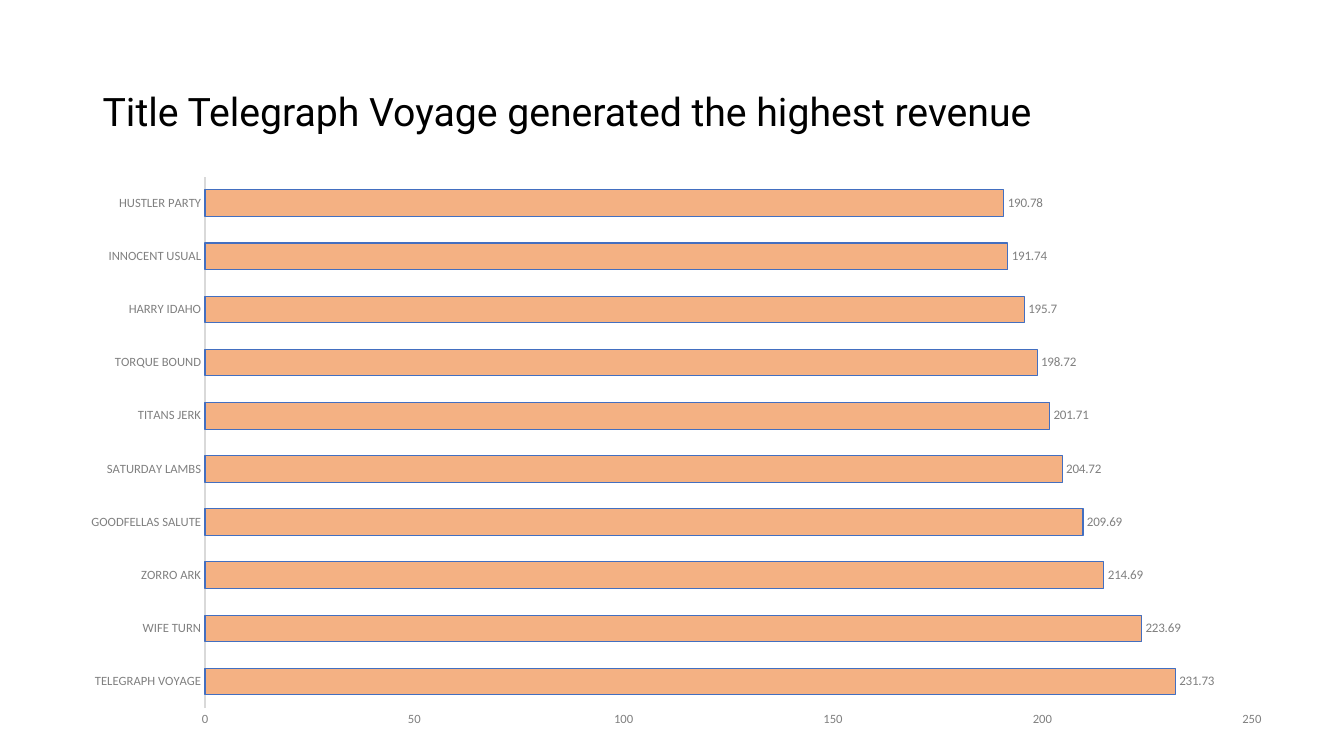
from dataclasses import dataclass

from lxml import etree
from pptx import Presentation
from pptx.chart.data import CategoryChartData
from pptx.dml.color import RGBColor
from pptx.enum.chart import XL_CHART_TYPE, XL_LABEL_POSITION, XL_TICK_MARK
from pptx.enum.text import MSO_ANCHOR
from pptx.oxml.ns import qn
from pptx.util import Pt

BAR_CLUSTERED = XL_CHART_TYPE.BAR_CLUSTERED
OUTSIDE_END = XL_LABEL_POSITION.OUTSIDE_END
NO_TICK = XL_TICK_MARK.NONE
MIDDLE = MSO_ANCHOR.MIDDLE

EMU_PER_PX = 9144  # 100 px to the inch
PAGE_SIZE = (1333, 750)
BLANK_LAYOUT = 6

REVENUE = {
    "TELEGRAPH VOYAGE": 231.73,
    "WIFE TURN": 223.69,
    "ZORRO ARK": 214.69,
    "GOODFELLAS SALUTE": 209.69,
    "SATURDAY LAMBS": 204.72,
    "TITANS JERK": 201.71,
    "TORQUE BOUND": 198.72,
    "HARRY IDAHO": 195.7,
    "INNOCENT USUAL": 191.74,
    "HUSTLER PARTY": 190.78,
}
PLOT_AREA = {"x": 0.112, "y": 0.035, "w": 0.866, "h": 0.914}


@dataclass(frozen=True)
class Theme:
    title_font: str = "Roboto"
    chart_font: str = "Calibri"
    title_size: float = 28
    chart_size: float = 10
    axis_size: float = 9
    label_size: float = 9.3
    line_width: float = 0.75
    black: str = "000000"
    gray: str = "808080"
    axis_line: str = "D9D9D9"
    bar_fill: str = "F4B183"
    bar_line: str = "436FC0"


def px(*lengths):
    return [length * EMU_PER_PX for length in lengths]


def apply(target, values):
    for name, value in values.items():
        setattr(target, name, value)


def set_font(font, name, size, color):
    apply(font, {"name": name, "size": Pt(size)})
    font.color.rgb = RGBColor.from_string(color)


def place_plot(chart, fractions):
    """Fix the inner plot area as fractions of the chart frame."""
    plot_area = chart.element.find(".//" + qn("c:plotArea"))
    for old_layout in plot_area.findall(qn("c:layout")):
        plot_area.remove(old_layout)
    layout = etree.Element(qn("c:layout"))
    manual = etree.SubElement(layout, qn("c:manualLayout"))
    settings = {"layoutTarget": "inner", "xMode": "edge", "yMode": "edge", **fractions}
    for tag, value in settings.items():
        etree.SubElement(manual, qn("c:" + tag)).set("val", str(value))
    plot_area.insert(0, layout)


class Page:
    def __init__(self, slide, theme):
        self.slide = slide
        self.theme = theme

    def title(self, text, left, top, width, height):
        theme = self.theme
        box = self.slide.shapes.add_textbox(*px(left, top, width, height))
        apply(box.text_frame, {"word_wrap": True, "vertical_anchor": MIDDLE})
        para = box.text_frame.paragraphs[0]
        para.line_spacing = 0.9
        span = para.add_run()
        span.text = text
        set_font(span.font, theme.title_font, theme.title_size, theme.black)

    def outline(self, line, color):
        line.width = Pt(self.theme.line_width)
        line.color.rgb = RGBColor.from_string(color)

    def bar_chart(self, values, left, top, width, height):
        theme = self.theme
        data = CategoryChartData()
        data.categories = list(values)
        data.add_series("Series 1", list(values.values()))
        frame = self.slide.shapes.add_chart(
            BAR_CLUSTERED, *px(left, top, width, height), data)
        chart = frame.chart
        apply(chart, {"has_legend": False, "has_title": False})
        set_font(chart.font, theme.chart_font, theme.chart_size, theme.black)
        place_plot(chart, PLOT_AREA)
        self.axes(chart)

        plot = chart.plots[0]
        apply(plot, {"gap_width": 100, "vary_by_categories": False,
                     "has_data_labels": True})
        apply(plot.data_labels, {"show_value": True, "position": OUTSIDE_END})
        set_font(plot.data_labels.font, theme.chart_font, theme.label_size, theme.gray)

        bars = plot.series[0]
        bars.format.fill.solid()
        bars.format.fill.fore_color.rgb = RGBColor.from_string(theme.bar_fill)
        self.outline(bars.format.line, theme.bar_line)

    def axes(self, chart):
        theme = self.theme
        for axis in (chart.category_axis, chart.value_axis):
            apply(axis, {"major_tick_mark": NO_TICK, "minor_tick_mark": NO_TICK,
                         "has_major_gridlines": False})
            set_font(axis.tick_labels.font, theme.chart_font, theme.axis_size, theme.gray)
        self.outline(chart.category_axis.format.line, theme.axis_line)
        chart.value_axis.format.line.fill.background()
        apply(chart.value_axis, {"minimum_scale": 0, "maximum_scale": 250,
                                 "major_unit": 50})


def main():
    deck = Presentation()
    deck.slide_width, deck.slide_height = px(*PAGE_SIZE)
    page = Page(deck.slides.add_slide(deck.slide_layouts[BLANK_LAYOUT]), Theme())
    page.title("Title Telegraph Voyage generated the highest revenue", 92, 86, 1150, 53)
    page.bar_chart(REVENUE, 69, 155, 1199, 577)
    deck.save("out.pptx")


if __name__ == "__main__":
    main()
